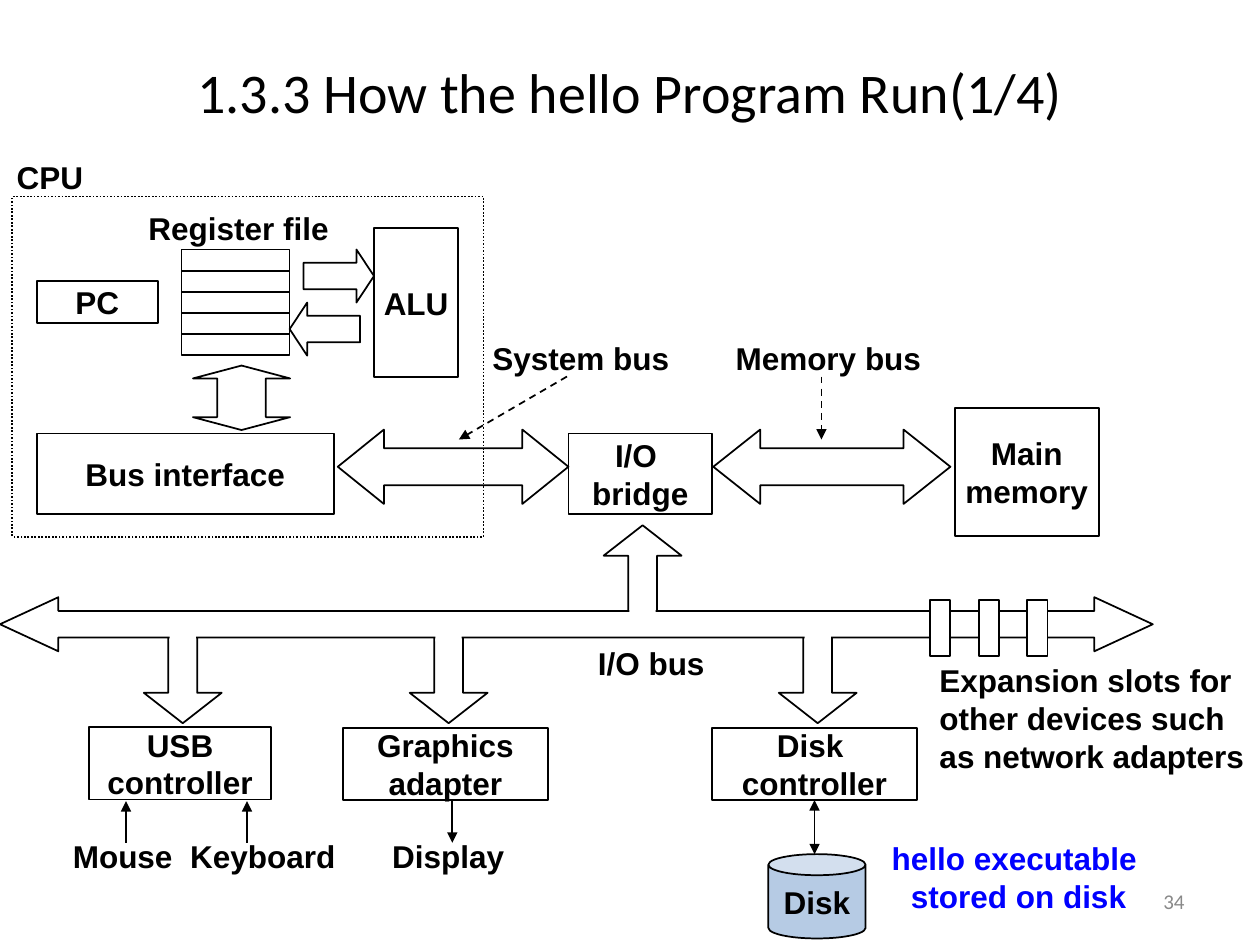
import pptx
import pptx.util
import pptx.dml.color
import pptx.enum.dml
import pptx.enum.shapes
import pptx.enum.text
import pptx.oxml.ns
import lxml.etree

Cm = pptx.util.Cm
Pt = pptx.util.Pt
RGB = pptx.dml.color.RGBColor
Kind = pptx.enum.shapes.MSO_SHAPE
Dash = pptx.enum.dml.MSO_LINE
Align = pptx.enum.text.PP_ALIGN
qn = pptx.oxml.ns.qn

BLACK = RGB(0x00, 0x00, 0x00)
WHITE = RGB(0xFF, 0xFF, 0xFF)
BLUE = RGB(0x00, 0x00, 0xFF)
STEEL = RGB(0xB6, 0xCB, 0xE4)
GREY = RGB(0x89, 0x89, 0x89)

deck = pptx.Presentation()
deck.slide_width = Cm(25.4)
deck.slide_height = Cm(19.05)
slide = deck.slides.add_slide(deck.slide_layouts[6])
shapes = slide.shapes


def draw(kind, x, y, w, h, adj=(), fill=None, edge=BLACK):
    shape = shapes.add_shape(kind, Cm(x), Cm(y), Cm(w), Cm(h))
    shape.shadow.inherit = False
    for i, value in enumerate(adj):
        shape.adjustments[i] = value
    if fill is None:
        shape.fill.background()
    else:
        shape.fill.solid()
        shape.fill.fore_color.rgb = fill
    if edge is None:
        shape.line.fill.background()
    else:
        shape.line.color.rgb = edge
        shape.line.width = Pt(1)
    return shape


def write(shape, lines, size=18, color=BLACK, font="Arial", bold=True,
          align=Align.CENTER, wrap=False):
    frame = shape.text_frame
    frame.word_wrap = wrap
    frame.vertical_anchor = pptx.enum.text.MSO_ANCHOR.MIDDLE
    for i, line in enumerate(lines):
        para = frame.paragraphs[0] if i == 0 else frame.add_paragraph()
        para.alignment = align
        run = para.add_run()
        run.text = line
        run.font.size = Pt(size)
        run.font.name = font
        run.font.bold = bold
        run.font.color.rgb = color


# Title
title = shapes.add_textbox(Cm(0), Cm(0.76), Cm(25.4), Cm(2.16))
write(title, ["1.3.3 How the hello Program Run(1/4)"], 32, font="Calibri",
      bold=False, wrap=True)

# CPU frame, registers and unit boxes
frame = draw(Kind.RECTANGLE, 0.25, 3.96, 9.5, 6.86)
frame.line.dash_style = Dash.ROUND_DOT
for i in range(5):
    draw(Kind.RECTANGLE, 3.66, 5.03 + 0.425 * i, 2.18, 0.43)

boxes = {}
for lines, x, y, w, h in [
    (["PC"], 0.74, 5.66, 2.44, 0.86),
    (["ALU"], 7.54, 4.6, 1.7, 3),
    (["Bus interface"], 0.74, 8.74, 5.99, 1.63),
    (["I/O ", "bridge"], 11.46, 8.74, 2.9, 1.63),
    (["Main", "memory"], 19.25, 8.23, 2.9, 2.57),
    (["USB", "controller"], 1.8, 14.66, 3.66, 1.46),
    (["Graphics", "adapter"], 6.91, 14.68, 4.14, 1.45),
    (["Disk ", "controller"], 14.35, 14.68, 4.14, 1.45),
]:
    box = draw(Kind.RECTANGLE, x, y, w, h)
    write(box, lines)
    boxes[lines[0]] = box

disk = draw(Kind.CAN, 15.49, 17.22, 1.96, 1.7, [0.25], STEEL)
write(disk, ["Disk"])

# Block arrows between the units
draw(Kind.RIGHT_ARROW, 6.12, 5.03, 1.42, 1.07, [0.5, 0.33])
draw(Kind.LEFT_ARROW, 5.84, 6.1, 1.42, 1.07, [0.5, 0.33])
draw(Kind.LEFT_RIGHT_ARROW, 6.81, 8.66, 4.65, 1.5, [0.5, 0.62])
draw(Kind.LEFT_RIGHT_ARROW, 14.38, 8.66, 4.78, 1.5, [0.5, 0.63])

# The two-way upright arrow takes its shaft and head sizes by name
upright = draw(Kind.UP_DOWN_ARROW, 3.89, 7.37, 1.96, 1.3)
sizes = upright._element.spPr.find(".//" + qn("a:avLst"))
for old in list(sizes):
    sizes.remove(old)
for name, value in [("adj1", 50000), ("adj2", 20000)]:
    lxml.etree.SubElement(sizes, qn("a:gd"), name=name, fmla=f"val {value}")

# I/O bus: branches, the bus itself, then patches that open each joint
branches = [
    (Kind.UP_ARROW, 12.17, 10.59, 12.29),
    (Kind.DOWN_ARROW, 2.9, 12.65, 12.5),
    (Kind.DOWN_ARROW, 8.26, 12.65, 12.5),
    (Kind.DOWN_ARROW, 15.7, 12.65, 12.5),
]
for kind, x, y, joint in branches:
    draw(kind, x, y, 1.57, 1.93, [0.37, 0.39])
draw(Kind.LEFT_RIGHT_ARROW, 0, 12.04, 23.24, 1.09, [0.49, 1.08], WHITE)
for kind, x, y, joint in branches:
    draw(Kind.RECTANGLE, x + 0.52, joint, 0.53, 0.43, fill=WHITE, edge=None)
for i in range(3):
    draw(Kind.RECTANGLE, 18.75 + 0.98 * i, 12.09, 0.41, 1.14, fill=WHITE)

# Labels
for lines, x, y, w, h, color, align in [
    (["CPU"], 0.08, 3.05, 1.85, 1.02, BLACK, Align.CENTER),
    (["Register file"], 2.54, 4.09, 4.54, 1.02, BLACK, Align.CENTER),
    (["System bus"], 9.46, 6.71, 4.5, 1.02, BLACK, Align.CENTER),
    (["Memory bus"], 14.36, 6.71, 4.68, 1.02, BLACK, Align.CENTER),
    (["I/O bus"], 11.61, 12.85, 3.04, 1.02, BLACK, Align.CENTER),
    (["Mouse"], 1.02, 16.74, 2.91, 1.02, BLACK, Align.CENTER),
    (["Keyboard"], 3.46, 16.74, 3.68, 1.02, BLACK, Align.CENTER),
    (["Display"], 7.45, 16.74, 3.17, 1.02, BLACK, Align.CENTER),
    (["Expansion slots for", "other devices such", "as network adapters"],
     18.69, 13.24, 6.71, 2.46, BLACK, Align.LEFT),
    (["hello executable ", "stored on disk"],
     17.53, 16.79, 6.01, 1.78, BLUE, Align.CENTER),
]:
    label = shapes.add_textbox(Cm(x), Cm(y), Cm(w), Cm(h))
    write(label, lines, color=color, align=align)

# Thin arrows
for x1, y1, x2, y2, ends, dash, start in [
    (11.43, 7.59, 9.25, 8.86, ["tailEnd"], True, None),
    (16.56, 7.59, 16.56, 8.86, ["tailEnd"], True, None),
    (2.54, 16.15, 2.54, 16.99, ["headEnd"], False, None),
    (4.98, 16.15, 4.98, 16.99, ["headEnd"], False, None),
    (9.12, 16.15, 9.12, 16.99, ["tailEnd"], False, None),
    (16.42, 16.13, 16.42, 17.22, ["headEnd", "tailEnd"], False, "Disk "),
]:
    wire = shapes.add_connector(pptx.enum.shapes.MSO_CONNECTOR.STRAIGHT,
                                Cm(x1), Cm(y1), Cm(x2), Cm(y2))
    wire.line.color.rgb = BLACK
    wire.line.width = Pt(1)
    if dash:
        wire.line.dash_style = Dash.DASH
    if start is not None:
        wire.begin_connect(boxes[start], 2)
    props = wire.line._get_or_add_ln()
    for end in ends:
        lxml.etree.SubElement(props, qn("a:" + end), type="triangle")
    lxml.etree.SubElement(wire._element.spPr, qn("a:effectLst"))

# Slide number
number = shapes.add_textbox(Cm(18.21), Cm(17.65), Cm(5.92), Cm(1.02))
write(number, ["34"], 12, GREY, "Calibri", False, Align.RIGHT, True)

deck.save("out.pptx")
